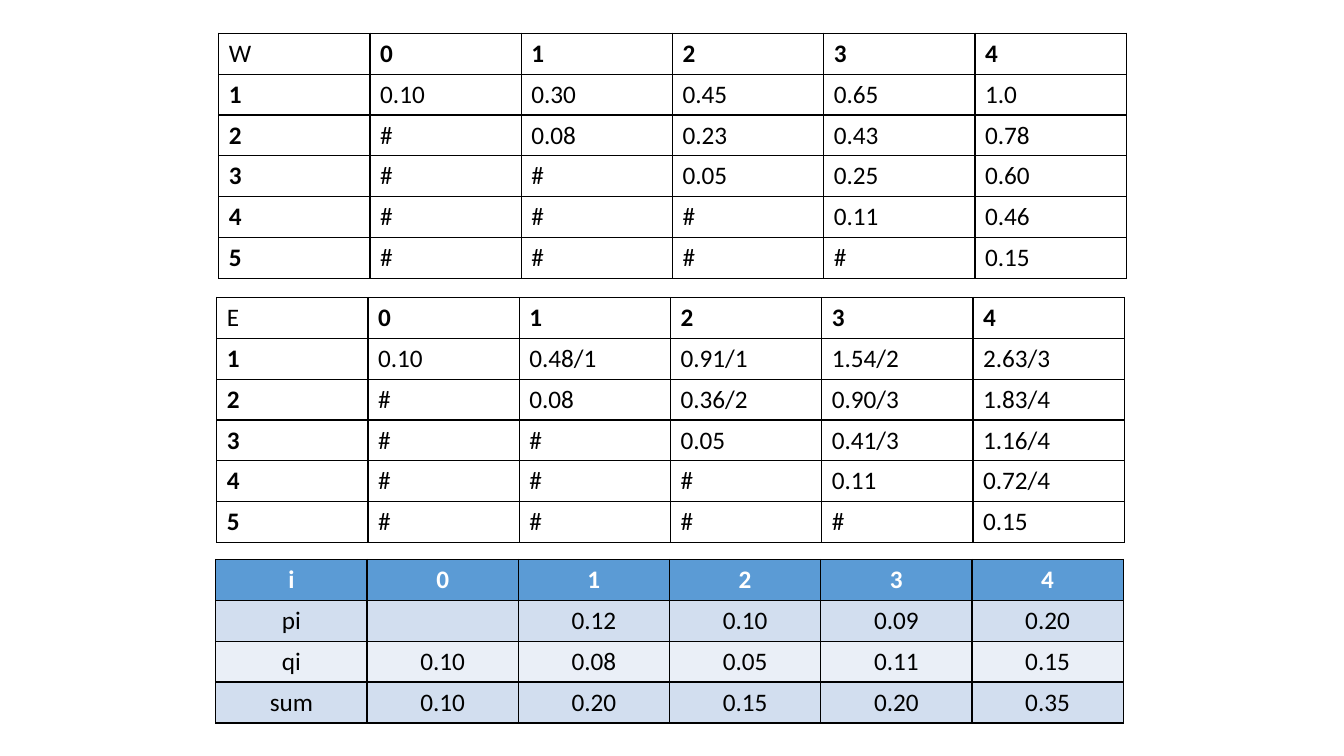
from dataclasses import dataclass
from typing import Optional

import pptx
import pptx.dml.color
import pptx.enum.text
import pptx.oxml
import pptx.oxml.ns
import pptx.util

Inches = pptx.util.Inches
Align = pptx.enum.text.PP_ALIGN

BLACK, WHITE = "000000", "FFFFFF"
HEADER_BLUE, BAND_DARK, BAND_LIGHT = "5B9BD5", "D2DEEF", "EAEFF7"
TABLE_WIDTH = 9


@dataclass
class Grid:
    left: float
    top: float
    height: float
    rows: list[list[str]]
    banded: bool = False


def matrix_rows(name: str, upper: list[list[str]]) -> list[list[str]]:
    """Add the headings, and fill the cells below the diagonal with #."""
    size = len(upper)
    header = [name] + [str(column) for column in range(size)]
    body = [[str(index + 1)] + ["#"] * index + values for index, values in enumerate(upper)]
    return [header] + body


GRIDS = [
    Grid(2.17, 0.33, 2.43, matrix_rows("W", [
        ["0.10", "0.30", "0.45", "0.65", "1.0"],
        ["0.08", "0.23", "0.43", "0.78"],
        ["0.05", "0.25", "0.60"],
        ["0.11", "0.46"],
        ["0.15"],
    ])),
    Grid(2.15, 2.95, 2.43, matrix_rows("E", [
        ["0.10", "0.48/1", "0.91/1", "1.54/2", "2.63/3"],
        ["0.08", "0.36/2", "0.90/3", "1.83/4"],
        ["0.05", "0.41/3", "1.16/4"],
        ["0.11", "0.72/4"],
        ["0.15"],
    ])),
    Grid(2.14, 5.55, 1.62, [
        ["i", "0", "1", "2", "3", "4"],
        ["pi", "", "0.12", "0.10", "0.09", "0.20"],
        ["qi", "0.10", "0.08", "0.05", "0.11", "0.15"],
        ["sum", "0.10", "0.20", "0.15", "0.20", "0.35"],
    ], banded=True),
]


def rgb(value: str) -> pptx.dml.color.RGBColor:
    return pptx.dml.color.RGBColor.from_string(value)


def write_text(frame, text: str, *, color: str = BLACK, bold: bool = False,
               align: Align = Align.LEFT, size: float = 18, font: str = "Calibri") -> None:
    para = frame.paragraphs[0]
    para.alignment = align
    span = para.add_run()
    span.text = text
    span.font.name = font
    span.font.size = pptx.util.Pt(size)
    span.font.bold = bold
    span.font.color.rgb = rgb(color)


def add_borders(cell, color: str = BLACK, width: float = 1) -> None:
    properties = cell._tc.get_or_add_tcPr()
    for side in ("lnL", "lnR", "lnT", "lnB"):
        properties.append(pptx.oxml.parse_xml(
            f'<a:{side} {pptx.oxml.ns.nsdecls("a")} w="{pptx.util.Pt(width)}">'
            f'<a:solidFill><a:srgbClr val="{color}"/></a:solidFill></a:{side}>'))


def fill_cell(cell, color: Optional[str]) -> None:
    if color is None:
        cell.fill.background()
    else:
        cell.fill.solid()
        cell.fill.fore_color.rgb = rgb(color)


def band_color(row: int) -> str:
    if row == 0:
        return HEADER_BLUE
    return BAND_DARK if row % 2 else BAND_LIGHT


def draw_grid(page, grid: Grid) -> None:
    table = page.shapes.add_table(
        len(grid.rows), len(grid.rows[0]), Inches(grid.left), Inches(grid.top),
        Inches(TABLE_WIDTH), Inches(grid.height)).table
    table.first_row = grid.banded
    table.horz_banding = grid.banded
    for row, texts in enumerate(grid.rows):
        for column, text in enumerate(texts):
            cell = table.cell(row, column)
            add_borders(cell)
            fill_cell(cell, band_color(row) if grid.banded else None)
            if not text:
                continue
            if grid.banded:
                write_text(cell.text_frame, text, bold=row == 0, align=Align.CENTER,
                           color=WHITE if row == 0 else BLACK)
            else:
                write_text(cell.text_frame, text, bold=(row == 0) != (column == 0))


def main() -> None:
    deck = pptx.Presentation()
    deck.slide_width, deck.slide_height = Inches(13.33), Inches(7.5)
    page = deck.slides.add_slide(deck.slide_layouts[6])
    for grid in GRIDS:
        draw_grid(page, grid)
    deck.save("out.pptx")


if __name__ == "__main__":
    main()
